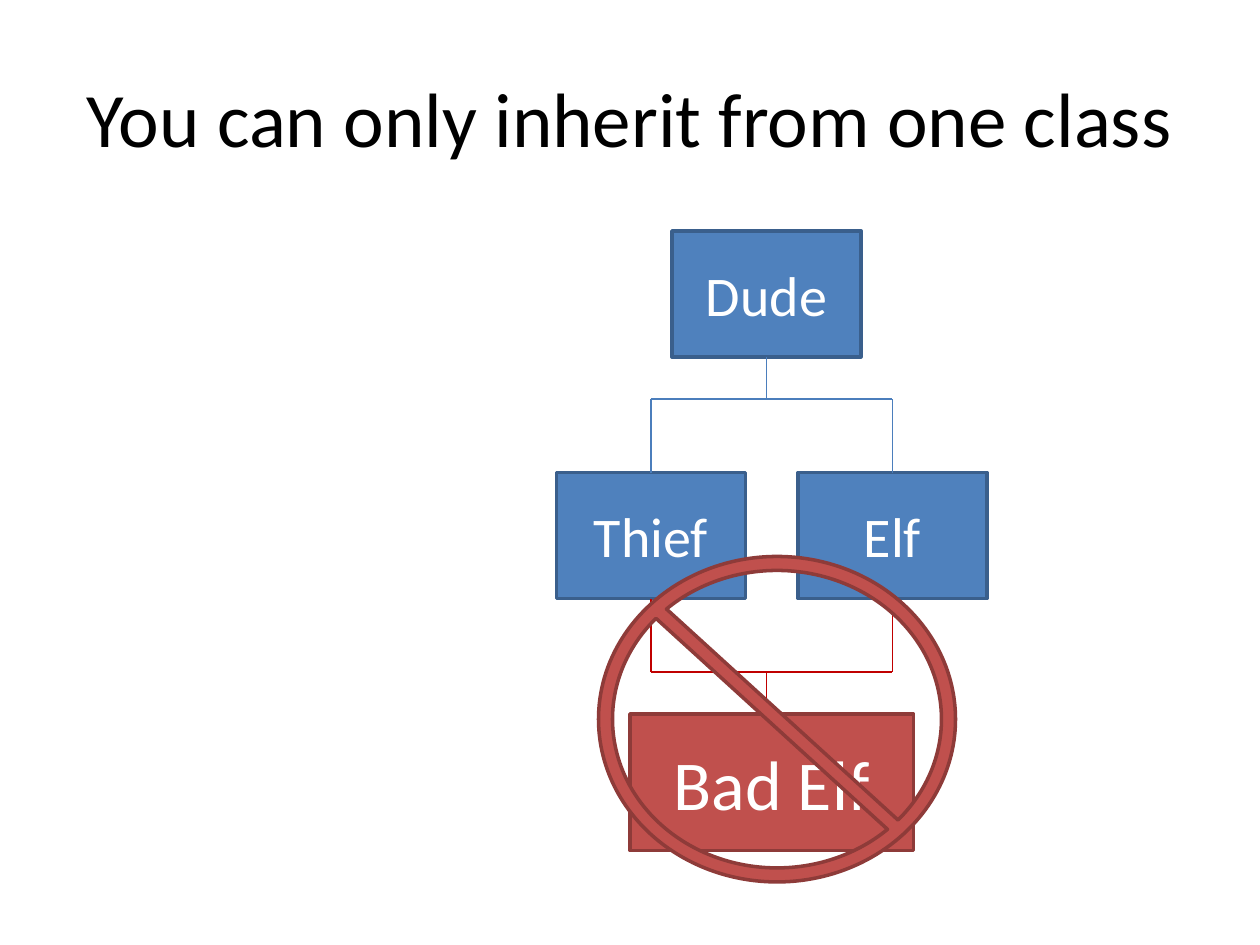
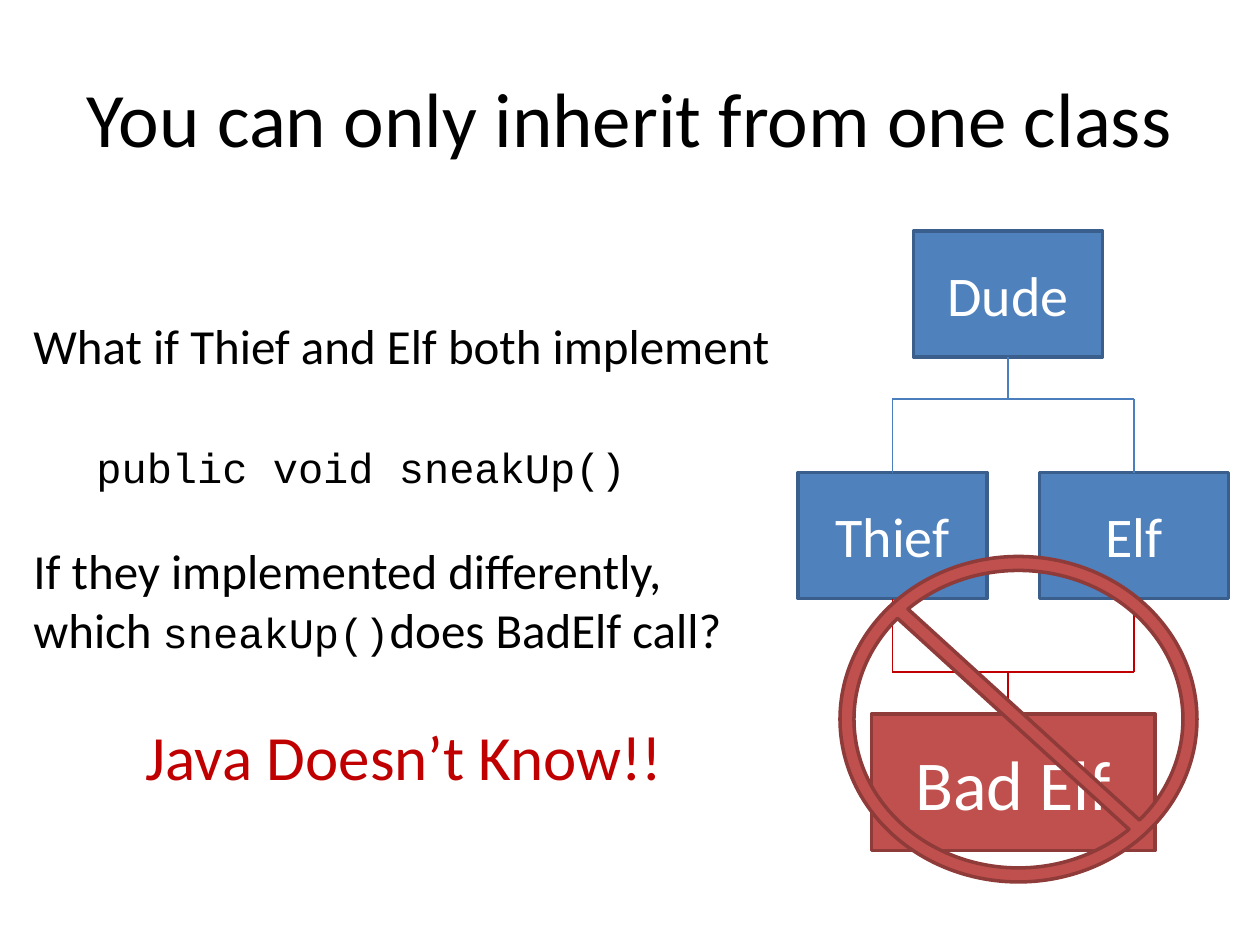
from dataclasses import dataclass

from lxml import etree
from pptx import Presentation
from pptx import util as u
from pptx.dml.color import RGBColor
from pptx.enum import shapes, text
from pptx.oxml.ns import qn


@dataclass(frozen=True)
class Theme:
    """Colours, fonts and type sizes shared by both slides."""
    black: str = "000000"
    white: str = "FFFFFF"
    blue: str = "4F81BD"
    blue_edge: str = "3A5F8C"
    blue_line: str = "4B7EBC"
    red: str = "C0504D"
    red_edge: str = "8E3B39"
    strong_red: str = "C00000"
    body_font: str = "Calibri"
    code_font: str = "Courier New"
    title_size: int = 44
    body_size: int = 28
    code_size: int = 24
    class_size: int = 32
    child_size: int = 40
    shout_size: int = 36
    edge: float = 2
    line: float = 0.75


THEME = Theme()
BODY = (THEME.body_font, THEME.body_size, THEME.black)
CODE = (THEME.code_font, THEME.code_size, THEME.black)
SHOUT = (THEME.body_font, THEME.shout_size, THEME.strong_red)
LEFT, CENTER = text.PP_ALIGN.LEFT, text.PP_ALIGN.CENTER

TITLE = "You can only inherit from one class"
DIAGRAM_LEFTS = (318, 456)  # one slide for each
# space before, alignment, spans of (words, style)
QUESTION = [
    (0, LEFT, [("What if Thief and Elf both implement", BODY)]),
    (34, LEFT, [("\t", BODY), ("public void sneakUp()", CODE)]),
    (27, LEFT, [("If they implemented differently,", BODY)]),
    (0, LEFT, [("which ", BODY), ("sneakUp()", CODE),
               ("does BadElf call?", BODY)]),
    (34, CENTER, [("Java Doesn\u2019t Know!!", SHOUT)]),
]

# Diagram measures; across is counted from the left edge of Thief
CLASS_W, CLASS_H = 108, 72
COLUMN_STEP = 138
DUDE_ACROSS, DUDE_TOP, ROW_TOP = 66, 132, 270
CHILD_ACROSS, CHILD_TOP, CHILD_W, CHILD_H = 42, 408, 162, 78
BAN_ACROSS, BAN_TOP, BAN_W, BAN_H = 24, 318, 204, 186
STEM = 24


def colour(code):
    """Turn a hex code into a colour."""
    return RGBColor.from_string(code)


def style_span(span, font, size, code):
    """Give one run its font, size and colour."""
    span.font.name = font
    span.font.size = u.Pt(size)
    span.font.color.rgb = colour(code)


def write_centred(box, words, size, code):
    """Put one centred line of words in the middle of a box."""
    frame = box.text_frame
    frame.word_wrap = True
    frame.vertical_anchor = text.MSO_ANCHOR.MIDDLE
    frame.text = words
    para = frame.paragraphs[0]
    para.alignment = CENTER
    style_span(para.runs[0], THEME.body_font, size, code)


def add_solid(page, kind, place, fill, edge):
    """Add a filled, outlined preset shape."""
    box = page.shapes.add_shape(kind, *map(u.Pt, place))
    box.shadow.inherit = False
    box.fill.solid()
    box.fill.fore_color.rgb = colour(fill)
    box.line.color.rgb = colour(edge)
    box.line.width = u.Pt(THEME.edge)
    return box


def add_class(page, words, place, size, fill, edge):
    """Add a class box with its name."""
    box = add_solid(page, shapes.MSO_SHAPE.RECTANGLE, place, fill, edge)
    write_centred(box, words, size, THEME.white)


def add_line(page, start, end, code):
    """Add a thin straight connector."""
    line = page.shapes.add_connector(
        shapes.MSO_CONNECTOR.STRAIGHT, *map(u.Pt, (*start, *end)))
    line.line.color.rgb = colour(code)
    line.line.width = u.Pt(THEME.line)
    etree.SubElement(line._element.spPr, qn("a:effectLst"))


def add_fork(page, left, single_y, bar_y, row_y, code):
    """Join a single class to the Thief and Elf row through a bar."""
    thief_x = left + CLASS_W / 2
    elf_x = thief_x + COLUMN_STEP
    stem_x = left + DUDE_ACROSS + CLASS_W / 2
    add_line(page, (thief_x, bar_y), (thief_x, row_y), code)
    add_line(page, (thief_x, bar_y), (elf_x, bar_y), code)
    add_line(page, (elf_x, row_y), (elf_x, bar_y), code)
    add_line(page, (stem_x, single_y), (stem_x, bar_y), code)


def add_diagram(page, left):
    """Draw the class tree and the ban over its lower half."""
    blue_classes = [
        ("Dude", left + DUDE_ACROSS, DUDE_TOP),
        ("Thief", left, ROW_TOP),
        ("Elf", left + COLUMN_STEP, ROW_TOP),
    ]
    for words, x, y in blue_classes:
        add_class(page, words, (x, y, CLASS_W, CLASS_H), THEME.class_size,
                  THEME.blue, THEME.blue_edge)
    dude_bottom = DUDE_TOP + CLASS_H
    add_fork(page, left, dude_bottom, dude_bottom + STEM, ROW_TOP,
             THEME.blue_line)

    add_class(page, "Bad Elf",
              (left + CHILD_ACROSS, CHILD_TOP, CHILD_W, CHILD_H),
              THEME.child_size, THEME.red, THEME.red_edge)
    add_fork(page, left, CHILD_TOP, CHILD_TOP - STEM, ROW_TOP + CLASS_H,
             THEME.strong_red)

    ban = add_solid(page, shapes.MSO_SHAPE.NO_SYMBOL,
                    (left + BAN_ACROSS, BAN_TOP, BAN_W, BAN_H),
                    THEME.red, THEME.red_edge)
    ban.adjustments[0] = 0.043


def add_question(page):
    """Write the sneakUp question beside the diagram."""
    box = page.shapes.add_textbox(*map(u.Pt, (12, 177, 438, 283.5)))
    frame = box.text_frame
    frame.word_wrap = True
    frame.auto_size = text.MSO_AUTO_SIZE.SHAPE_TO_FIT_TEXT
    for index, (space, alignment, spans) in enumerate(QUESTION):
        para = frame.add_paragraph() if index else frame.paragraphs[0]
        para.space_before = u.Pt(space)
        para.alignment = alignment
        for words, style in spans:
            span = para.add_run()
            span.text = words
            style_span(span, *style)


def add_page(deck, left):
    """Add a slide with the shared title and the diagram at left."""
    page = deck.slides.add_slide(deck.slide_layouts[6])
    title = page.shapes.add_textbox(*map(u.Pt, (36, 21.6, 648, 90)))
    write_centred(title, TITLE, THEME.title_size, THEME.black)
    add_diagram(page, left)
    return page


deck = Presentation()
deck.slide_width, deck.slide_height = u.Pt(720), u.Pt(540)
pages = [add_page(deck, left) for left in DIAGRAM_LEFTS]
add_question(pages[1])
deck.save("out.pptx")
